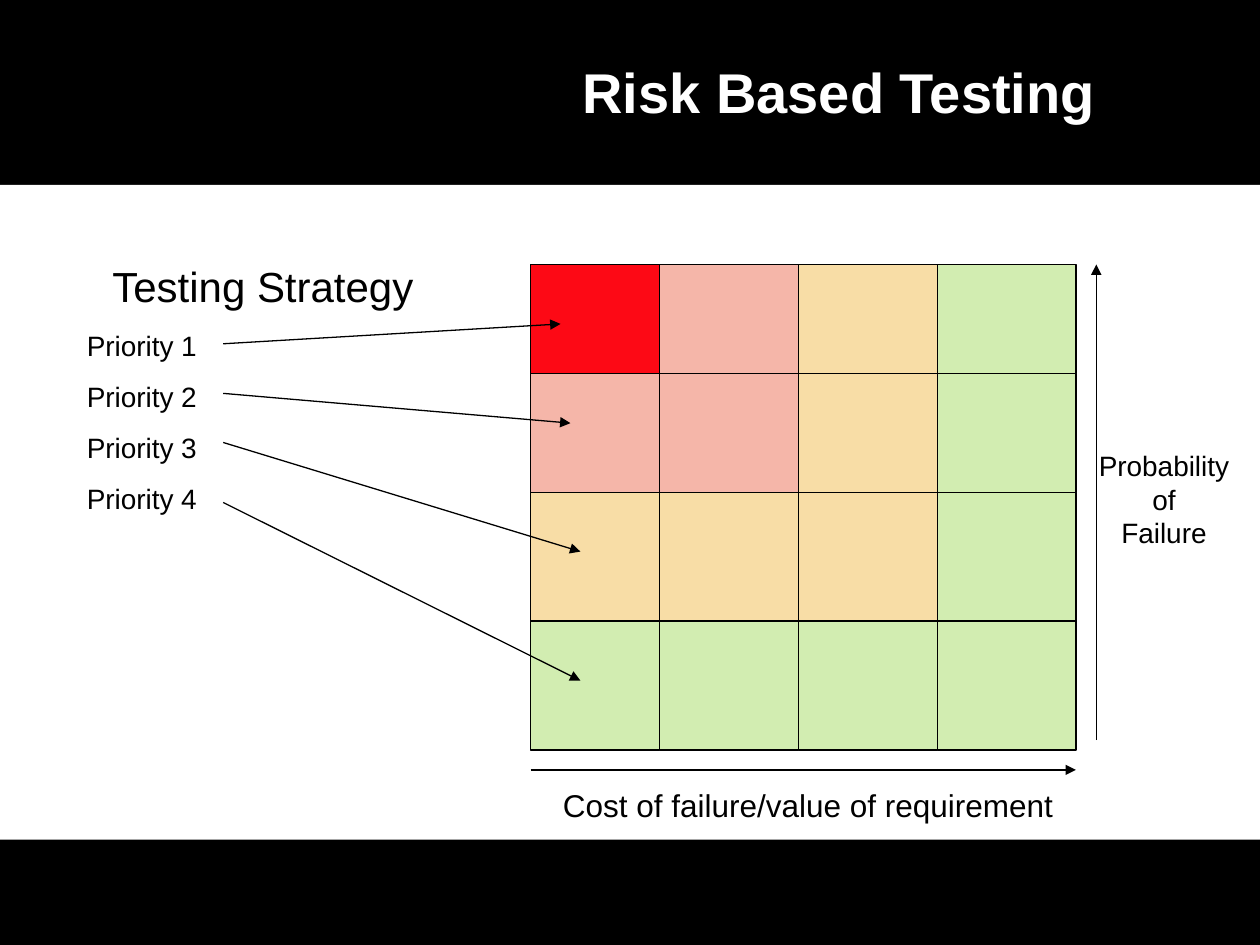
from dataclasses import dataclass
from itertools import pairwise

from lxml import etree
from pptx import Presentation
from pptx.dml.color import RGBColor
from pptx.enum.shapes import MSO_CONNECTOR, MSO_SHAPE
from pptx.enum.text import MSO_ANCHOR, MSO_AUTO_SIZE, PP_ALIGN
from pptx.oxml.ns import qn
from pptx.util import Cm, Pt

RECTANGLE = MSO_SHAPE.RECTANGLE
STRAIGHT = MSO_CONNECTOR.STRAIGHT
MIDDLE = MSO_ANCHOR.MIDDLE
FIT_SHAPE = MSO_AUTO_SIZE.SHAPE_TO_FIT_TEXT
LEFT, CENTER = PP_ALIGN.LEFT, PP_ALIGN.CENTER
TITLE_ONLY = 5


@dataclass(frozen=True)
class Theme:
    font: str = "Arial"
    black: RGBColor = RGBColor(0, 0, 0)
    white: RGBColor = RGBColor(255, 255, 255)
    # Cell colours from priority 1 to priority 4
    priorities: tuple = tuple(
        RGBColor.from_string(code)
        for code in ("FD0915", "F5B6A9", "F8DDA6", "D2EDB1")
    )
    title: Pt = Pt(32)
    heading: Pt = Pt(24)
    axis: Pt = Pt(18)
    label: Pt = Pt(16)
    line: Pt = Pt(0.75)


THEME = Theme()

# Matrix edges in centimetres
COLUMN_EDGES = (10.7, 13.3, 16.1, 18.9, 21.69)
ROW_EDGES = (5.33, 7.53, 9.93, 12.52, 15.12)

# Start and end of each priority arrow in centimetres
PRIORITY_ARROWS = (
    ((4.5, 6.93), (11.3, 6.53)),
    ((4.5, 7.93), (11.5, 8.53)),
    ((4.5, 8.92), (11.7, 11.12)),
    ((4.5, 10.13), (11.7, 13.72)),
)


def style_paragraph(paragraph, size, color=THEME.black, align=LEFT, bold=False):
    paragraph.alignment = align
    font = paragraph.font
    font.name, font.size, font.bold = THEME.font, size, bold
    font.color.rgb = color


def add_rectangle(slide, left, top, right, bottom, fill, outlined=True):
    shape = slide.shapes.add_shape(
        RECTANGLE, Cm(left), Cm(top), Cm(right - left), Cm(bottom - top)
    )
    shape.shadow.inherit = False
    shape.fill.solid()
    shape.fill.fore_color.rgb = fill
    if outlined:
        shape.line.color.rgb = THEME.black
        shape.line.width = THEME.line
    else:
        shape.line.fill.background()


def add_arrow(slide, start, end):
    connector = slide.shapes.add_connector(
        STRAIGHT, *(Cm(value) for value in (*start, *end))
    )
    connector.line.color.rgb = THEME.black
    connector.line.width = THEME.line
    line = connector.line._get_or_add_ln()
    etree.SubElement(line, qn("a:tailEnd"), type="triangle")
    etree.SubElement(connector._element.spPr, qn("a:effectLst"))


def add_text(slide, left, top, width, height, lines, size, align=LEFT, wrap=False):
    """Add a text box with one paragraph per line and return its paragraphs."""
    box = slide.shapes.add_textbox(Cm(left), Cm(top), Cm(width), Cm(height))
    frame = box.text_frame
    frame.word_wrap = wrap
    frame.auto_size = FIT_SHAPE
    frame.text = "\n".join(lines)
    for paragraph in frame.paragraphs:
        style_paragraph(paragraph, size, align=align)
    return frame.paragraphs


def set_title(slide, text):
    title = slide.shapes.title
    title.left, title.top = Cm(9.7), Cm(0.56)
    title.width, title.height = Cm(14.43), Cm(2.57)
    title.text_frame.text = text
    title.text_frame.vertical_anchor = MIDDLE
    style_paragraph(
        title.text_frame.paragraphs[0], THEME.title, THEME.white, CENTER, bold=True
    )


def add_matrix(slide):
    """The weaker of the two axes decides the priority of a cell."""
    for row, (top, bottom) in enumerate(pairwise(ROW_EDGES)):
        for column, (left, right) in enumerate(pairwise(COLUMN_EDGES)):
            fill = THEME.priorities[max(row, column)]
            add_rectangle(slide, left, top, right, bottom, fill)


def add_axes(slide):
    add_arrow(slide, (COLUMN_EDGES[0], 15.52), (COLUMN_EDGES[-1], 15.52))
    add_text(slide, 11.1, 15.72, 10.39, 1.02,
             ["Cost of failure/value of requirement"], THEME.axis)
    add_arrow(slide, (22.1, 14.92), (22.1, ROW_EDGES[0]))
    add_text(slide, 21.9, 8.92, 3.13, 2.29,
             ["Probability", "of", "Failure"], THEME.label, CENTER)


def add_strategy(slide):
    priorities = [f"Priority {number}" for number in range(1, 5)]
    heading, *items = add_text(slide, 1.5, 5.13, 7.6, 6.43,
                               ["Testing Strategy", *priorities],
                               THEME.label, wrap=True)
    style_paragraph(heading, THEME.heading, align=CENTER)
    heading.space_before = Pt(15)
    for item in items:
        item.space_before = Pt(10)
    for start, end in PRIORITY_ARROWS:
        add_arrow(slide, start, end)


def main():
    presentation = Presentation()
    presentation.slide_width, presentation.slide_height = Cm(25.4), Cm(19.05)
    slide = presentation.slides.add_slide(presentation.slide_layouts[TITLE_ONLY])
    slide.background.fill.solid()
    slide.background.fill.fore_color.rgb = THEME.black
    add_rectangle(slide, 0, 3.73, 25.4, 16.93, THEME.white, outlined=False)
    set_title(slide, "Risk Based Testing")
    add_matrix(slide)
    add_axes(slide)
    add_strategy(slide)
    presentation.save("out.pptx")


if __name__ == "__main__":
    main()
